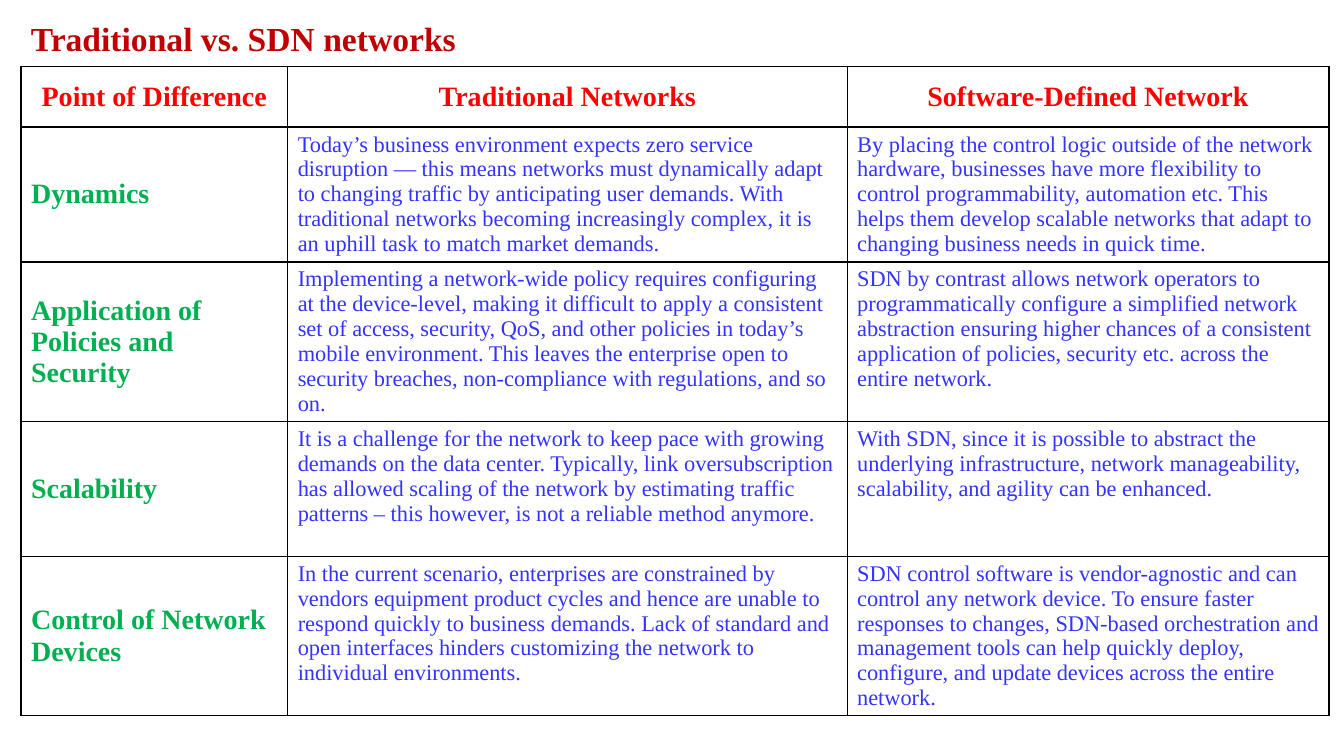
from lxml import etree
from pptx import Presentation
from pptx.dml.color import RGBColor
from pptx.enum import text
from pptx.oxml import ns
from pptx.util import Pt

TITLE = "Traditional vs. SDN networks"
HEADINGS = ("Point of Difference", "Traditional Networks", "Software-Defined Network")
# Each line break starts a new paragraph.
COMPARISONS = [
    ("Dynamics",
     "Today’s business environment expects zero service disruption — this means networks must "
     "dynamically adapt to changing traffic by anticipating user demands. With traditional "
     "networks becoming increasingly complex, it is an uphill task to match market demands.",
     "By placing the control logic outside of the network hardware, businesses have more "
     "flexibility to\ncontrol programmability, automation etc. This helps them develop scalable "
     "networks that adapt to changing business needs in quick time."),
    ("Application of Policies and\nSecurity",
     "Implementing a network-wide policy requires configuring at the device-level, making it "
     "difficult to apply a consistent set of access, security, QoS, and other policies in today’s "
     "mobile environment. This leaves the enterprise open to security breaches, non-compliance "
     "with regulations, and so on.",
     "SDN by contrast allows network operators to programmatically configure a simplified "
     "network\nabstraction ensuring higher chances of a consistent application of policies, "
     "security etc. across the entire network."),
    ("Scalability",
     "It is a challenge for the network to keep pace with growing demands on the data center. "
     "Typically, link oversubscription has allowed scaling of the network by estimating traffic "
     "patterns – this however, is not a reliable method anymore.",
     "With SDN, since it is possible to abstract the underlying infrastructure, network "
     "manageability, scalability, and agility can be enhanced."),
    ("Control of Network\nDevices",
     "In the current scenario, enterprises are constrained by vendors equipment product cycles "
     "and hence are unable to respond quickly to business demands. Lack of standard and open "
     "interfaces hinders customizing the network to individual environments.",
     "SDN control software is vendor-agnostic and can control any network device. To ensure "
     "faster responses to changes, SDN-based orchestration and management tools can help quickly "
     "deploy, configure, and update devices across the entire network."),
]

THEME = {
    "font": "Times New Roman",
    "border": "000000",
    "title": dict(size=24, color="C00000", bold=True),
    "heading": dict(size=20, color="FF0000", bold=True, align=text.PP_ALIGN.CENTER),
    "label": dict(size=20, color="00B050", bold=True),
    "body": dict(size=16, color="3333FF"),
}
LEFT, TITLE_TOP, TABLE_TOP = 15, 9.4, 47.5
TITLE_WIDTH, TITLE_HEIGHT = 321, 36
COLUMN_WIDTHS = (190.5, 399.6, 344.2)
ROW_HEIGHTS = (43.2, 96.4, 103, 96.4, 96.4)


def write_text(frame, content, size, color, bold=False, align=None):
    for index, line in enumerate(content.split("\n")):
        paragraph = frame.add_paragraph() if index else frame.paragraphs[0]
        paragraph.alignment = align
        run = paragraph.add_run()
        run.text = line
        run.font.name = THEME["font"]
        run.font.size = Pt(size)
        run.font.bold = bold
        run.font.color.rgb = RGBColor.from_string(color)


def add_borders(cell, width=1):
    properties = cell._tc.get_or_add_tcPr()
    for position, side in enumerate(("lnL", "lnR", "lnT", "lnB")):
        line = etree.Element(ns.qn(f"a:{side}"), w=str(int(Pt(width))))
        fill = etree.SubElement(line, ns.qn("a:solidFill"))
        etree.SubElement(fill, ns.qn("a:srgbClr"), val=THEME["border"])
        properties.insert(position, line)


def add_title(slide):
    box = slide.shapes.add_textbox(Pt(LEFT), Pt(TITLE_TOP), Pt(TITLE_WIDTH), Pt(TITLE_HEIGHT))
    box.text_frame.word_wrap = False
    box.text_frame.auto_size = text.MSO_AUTO_SIZE.SHAPE_TO_FIT_TEXT
    write_text(box.text_frame, TITLE, **THEME["title"])


def add_comparison_table(slide):
    rows = [HEADINGS, *COMPARISONS]
    table = slide.shapes.add_table(
        len(rows), len(HEADINGS), Pt(LEFT), Pt(TABLE_TOP),
        Pt(sum(COLUMN_WIDTHS)), Pt(sum(ROW_HEIGHTS))).table
    table.horz_banding = False
    for column, width in zip(table.columns, COLUMN_WIDTHS):
        column.width = Pt(width)
    for row, height in zip(table.rows, ROW_HEIGHTS):
        row.height = Pt(height)
    for row_index, row in enumerate(rows):
        for column_index, content in enumerate(row):
            role = "heading" if row_index == 0 else "label" if column_index == 0 else "body"
            cell = table.cell(row_index, column_index)
            cell.fill.background()
            cell.vertical_anchor = (
                text.MSO_ANCHOR.TOP if role == "body" else text.MSO_ANCHOR.MIDDLE)
            add_borders(cell)
            write_text(cell.text_frame, content, **THEME[role])


def main():
    presentation = Presentation()
    presentation.slide_width, presentation.slide_height = Pt(960), Pt(540)
    slide = presentation.slides.add_slide(presentation.slide_layouts[6])
    add_comparison_table(slide)
    add_title(slide)
    presentation.save("out.pptx")


if __name__ == "__main__":
    main()
